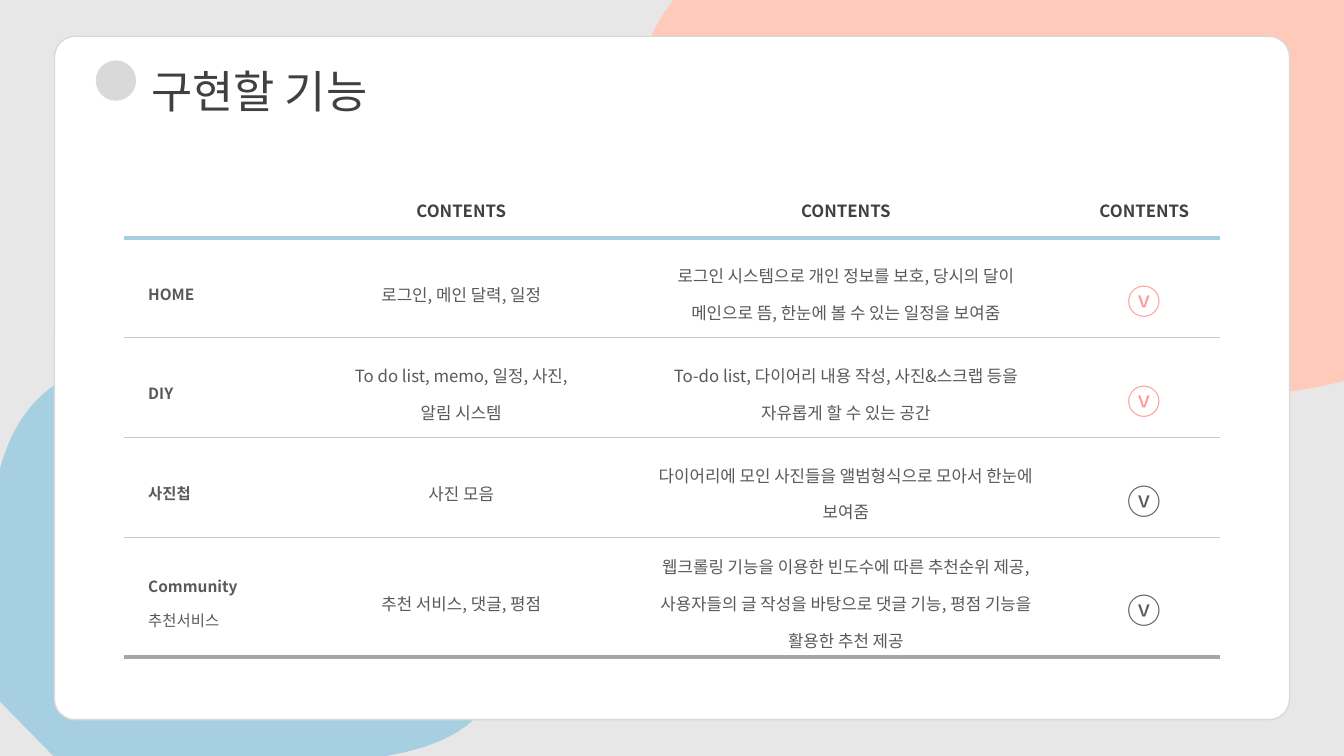
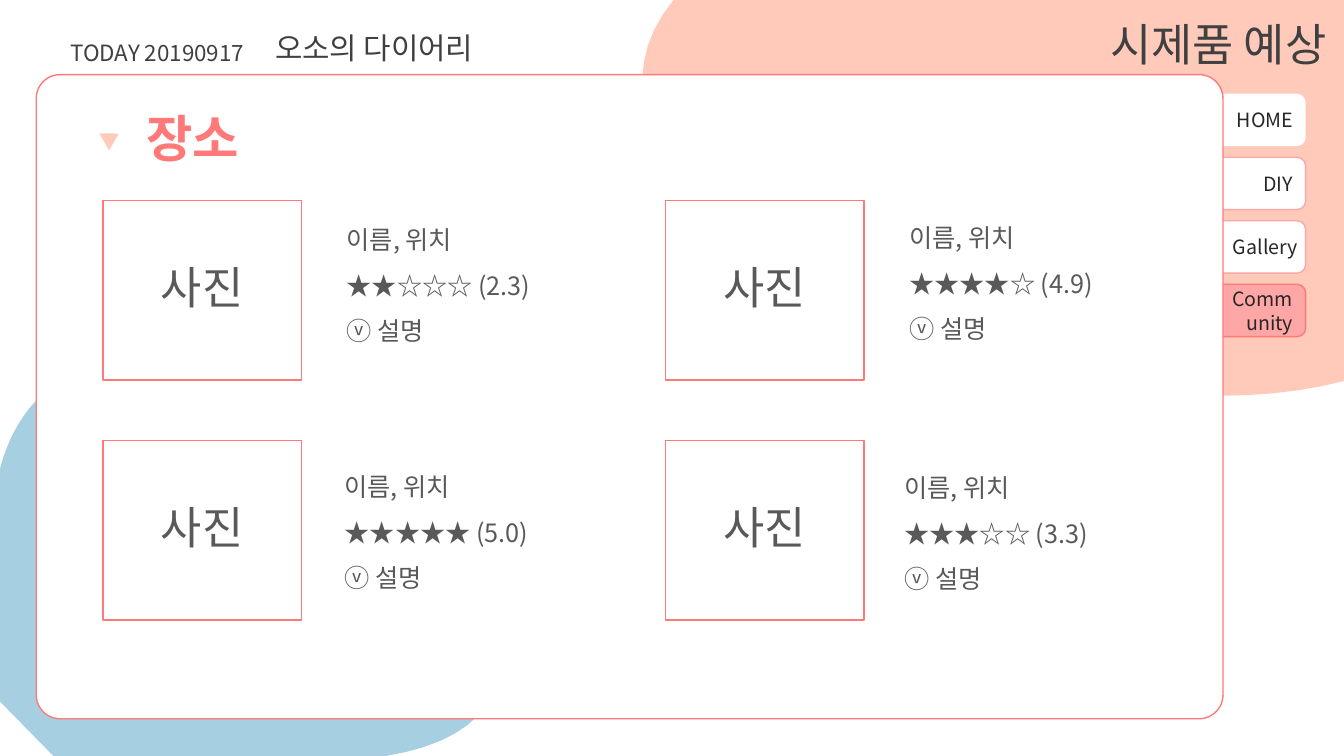
from collections import namedtuple
from dataclasses import dataclass

from lxml.etree import SubElement
from pptx import Presentation
from pptx.dml.color import RGBColor
from pptx.enum.shapes import MSO_SHAPE
from pptx.enum.text import MSO_ANCHOR, MSO_AUTO_SIZE, PP_ALIGN
from pptx.oxml import parse_xml
from pptx.oxml.ns import nsdecls, qn
from pptx.util import Inches, Pt


@dataclass(frozen=True)
class Theme:
    font: str = "Noto Sans CJK KR"
    white: str = "FFFFFF"
    page: str = "E7E7E7"
    edge: str = "D9D9D9"
    blue: str = "A6CFE1"
    peach: str = "FFCABA"
    coral: str = "FF7979"
    pink: str = "FFA7A7"
    check: str = "FF9999"
    rule: str = "CACACA"
    end_rule: str = "A6A6A6"
    dark: str = "404040"
    body: str = "595959"
    tab: str = "262626"
    title_size: float = 32
    heading_size: float = 36
    name_size: float = 21.3
    caption_size: float = 18
    date_size: float = 16
    tab_size: float = 14
    cell_size: float = 12
    label_size: float = 11
    check_size: float = 24


T = Theme()
Box = namedtuple("Box", "x y w h")
LEFT, CENTER, RIGHT = PP_ALIGN.LEFT, PP_ALIGN.CENTER, PP_ALIGN.RIGHT
TOP, MIDDLE = MSO_ANCHOR.TOP, MSO_ANCHOR.MIDDLE
SLIDE = Box(0, 0, 13.33, 7.5)


def rgb(color):
    return RGBColor.from_string(color)


def emu(box):
    return [Inches(v) for v in box]


def write(tf, text, size=T.cell_size, color=T.body, bold=False, align=LEFT,
          spacing=1.0, before=0, new=False):
    p = tf.add_paragraph() if new else tf.paragraphs[0]
    p.alignment, p.line_spacing, p.space_before = align, spacing, Pt(before)
    r = p.add_run()
    r.text = text
    r.font.name, r.font.size, r.font.bold = T.font, Pt(size), bold
    r.font.color.rgb = rgb(color)
    SubElement(r.font._element, qn("a:ea")).set("typeface", T.font)


def write_lines(tf, lines, **fmt):
    for i, line in enumerate(lines):
        write(tf, line, new=i > 0, **fmt)


def paint(sp, fill=None, line=None):
    sp.shadow.inherit = False
    if fill:
        sp.fill.solid()
        sp.fill.fore_color.rgb = rgb(fill)
    else:
        sp.fill.background()
    if line:
        sp.line.color.rgb, sp.line.width = rgb(line), Pt(1)
    else:
        sp.line.fill.background()


def add_shape(s, kind, box, fill=None, line=None, adj=None):
    sp = s.shapes.add_shape(kind, *emu(box))
    paint(sp, fill, line)
    if adj is not None:
        sp.adjustments[0] = adj
    sp.text_frame.word_wrap = True
    sp.text_frame.vertical_anchor = MIDDLE
    return sp


def add_text(s, box, *lines, **fmt):
    tf = s.shapes.add_textbox(*emu(box)).text_frame
    tf.word_wrap = True
    write_lines(tf, lines, **fmt)


def add_title(s, box, text):
    sp = s.shapes.title
    sp.left, sp.top, sp.width, sp.height = emu(box)
    tf = sp.text_frame
    tf.auto_size, tf.word_wrap, tf.vertical_anchor = MSO_AUTO_SIZE.NONE, True, TOP
    write(tf, text, size=T.title_size, color=T.dark, spacing=1.5)
    sp.element.getparent().append(sp.element)


def bezier(p0, p1, p2, p3, steps=40):
    for i in range(1, steps + 1):
        t = i / steps
        u = 1 - t
        yield tuple(u**3 * a + 3 * u * u * t * b + 3 * u * t * t * c + t**3 * d
                    for a, b, c, d in zip(p0, p1, p2, p3))


def add_blob(s, box, start, segments, fill):
    points = [start]
    for seg in segments:
        points += bezier(points[-1], *seg) if len(seg) == 3 else seg
    outline = [(Inches(box.x + x), Inches(box.y + y)) for x, y in points]
    fb = s.shapes.build_freeform(*outline[0], scale=1.0)
    fb.add_line_segments(outline[1:], close=True)
    paint(fb.convert_to_shape(), fill)


def new_slide(prs, page):
    s = prs.slides.add_slide(prs.slide_layouts[5])
    s.background.fill.solid()
    s.background.fill.fore_color.rgb = rgb(page)
    add_blob(s, Box(0, 3.61, 4.95, 3.89), (1.37, 0),
             [[(3.44, 0.06), (6.68, 3.42), (3.83, 3.89)],
              [(0.53, 3.89)], [(0, 3.35)], [(0, 1.04)],
              [(0.21, 0.27), (0.73, -0.02), (1.37, 0)]], T.blue)
    add_blob(s, Box(6.37, 0, 6.96, 3.93), (6.96, 0),
             [[(6.96, 3.78)], [(3.95, 4.57), (-1.33, 2), (0.31, 0)]], T.peach)
    return s


def set_borders(cell, top, bottom):
    tc_pr = cell._tc.get_or_add_tcPr()
    sides = [("L", None), ("R", None), ("T", top), ("B", bottom)]
    for i, (side, style) in enumerate(sides):
        color, width = style or (None, 0)
        fill = (f'<a:solidFill><a:srgbClr val="{color}"/></a:solidFill>'
                if color else "<a:noFill/>")
        tc_pr.insert(i, parse_xml(
            f'<a:ln{side} {nsdecls("a")} w="{Pt(width)}">{fill}</a:ln{side}>'))


def format_cell(cell, top, bottom):
    cell.fill.background()
    cell.vertical_anchor = MIDDLE
    cell.margin_left, cell.margin_right = Inches(0.24), Inches(0.1)
    cell.margin_top = cell.margin_bottom = Inches(0.05)
    set_borders(cell, top, bottom)


def feature_table(s, box, features):
    widths, heights = [1.6, 3.35, 4.28, 1.64], [0.55] + [0.99] * len(features)
    table = s.shapes.add_table(len(heights), len(widths), *emu(box)).table
    table.first_row = table.horz_banding = False
    for col, w in zip(table.columns, widths):
        col.width = Inches(w)
    for row, h in zip(table.rows, heights):
        row.height = Inches(h)
    rules = ([None, (T.blue, 3)] + [(T.rule, 1)] * (len(features) - 1)
             + [(T.end_rule, 3)])
    for r, row in enumerate(table.rows):
        for cell in row.cells:
            format_cell(cell, rules[r], rules[r + 1])
    for c in range(1, len(widths)):
        write(table.cell(0, c).text_frame, "CONTENTS", color=T.dark,
              bold=True, align=CENTER)
    for r, (labels, contents, detail, color) in enumerate(features, 1):
        label, content, about, mark = (c.text_frame for c in table.rows[r].cells)
        for i, text in enumerate(labels):
            write(label, text, size=T.label_size, bold=i == 0, spacing=1.5, new=i > 0)
        write_lines(content, contents, align=CENTER, spacing=1.5)
        write(about, detail, align=CENTER, spacing=1.5)
        write(mark, "ⓥ", size=T.check_size, color=color, align=CENTER, spacing=1.5)


def features_slide(prs):
    s = new_slide(prs, T.page)
    add_shape(s, MSO_SHAPE.ROUNDED_RECTANGLE, Box(0.54, 0.36, 12.25, 6.78),
              T.white, T.edge, 0.03)
    add_shape(s, MSO_SHAPE.OVAL, Box(0.95, 0.6, 0.4, 0.4), T.edge)
    feature_table(s, Box(1.23, 1.81, 10.87, 4.51), [
        (["HOME"], ["로그인, 메인 달력, 일정"],
         "로그인 시스템으로 개인 정보를 보호, 당시의 달이 메인으로 뜸, "
         "한눈에 볼 수 있는 일정을 보여줌", T.check),
        (["DIY"], ["To do list, memo, 일정, 사진,", "알림 시스템"],
         "To-do list, 다이어리 내용 작성, 사진&스크랩 등을 "
         "자유롭게 할 수 있는 공간", T.check),
        (["사진첩"], ["사진 모음"],
         "다이어리에 모인 사진들을 앨범형식으로 모아서 한눈에 보여줌", T.body),
        (["Community", "추천서비스"], ["추천 서비스, 댓글, 평점"],
         "웹크롤링 기능을 이용한 빈도수에 따른 추천순위 제공, 사용자들의 글 "
         "작성을 바탕으로 댓글 기능, 평점 기능을 활용한 추천 제공", T.body),
    ])
    add_title(s, Box(1.4, 0.32, 6.03, 0.8), "구현할 기능")


def side_tabs(s, box):
    tabs = [("HOME", T.white, None, 0.1), ("DIY", T.white, T.pink, 0.1),
            ("Gallery", T.white, T.pink, 0.05), ("Community", T.pink, T.coral, 0.1)]
    height = 0.52
    step = (box.h - height) / (len(tabs) - 1)
    for i, (text, fill, line, inset) in enumerate(tabs):
        sp = add_shape(s, MSO_SHAPE.ROUNDED_RECTANGLE,
                       Box(box.x, box.y + i * step, box.w, height), fill, line)
        sp.text_frame.margin_right = Inches(inset)
        write(sp.text_frame, text, size=T.tab_size, color=T.tab, align=RIGHT)


def place_entry(s, box, rating, dx, dy):
    sp = add_shape(s, MSO_SHAPE.RECTANGLE, box, line=T.coral)
    write(sp.text_frame, "사진", size=T.title_size, align=CENTER, spacing=0.9, before=10)
    add_text(s, Box(box.x + dx, box.y + dy, 2.3, 1.41),
             "이름, 위치", rating, "ⓥ 설명", size=T.caption_size, spacing=1.5)


def place_grid(s, box):
    w, h = 1.97, 1.78
    entries = [("★★☆☆☆ (2.3)", 2.32, 0.04), ("★★★★☆ (4.9)", 2.32, 0.02),
               ("★★★★★ (5.0)", 2.3, 0.11), ("★★★☆☆ (3.3)", 2.27, 0.12)]
    for i, entry in enumerate(entries):
        row, col = divmod(i, 2)
        place_entry(s, Box(box.x + col * (box.w - w), box.y + row * (box.h - h), w, h),
                    *entry)


def prototype_slide(prs):
    s = new_slide(prs, T.white)
    side_tabs(s, Box(12, 0.93, 0.95, 2.41))
    add_shape(s, MSO_SHAPE.ROUNDED_RECTANGLE, Box(0.36, 0.74, 11.77, 6.39),
              T.white, T.coral, 0.037)
    add_text(s, Box(0.6, 0.34, 2.34, 0.37), "TODAY 20190917",
             size=T.date_size, color=T.dark)
    add_text(s, Box(2.63, 0.25, 2.41, 0.46), "오소의 다이어리",
             size=T.name_size, color=T.dark)
    add_text(s, Box(1.35, 1.01, 1.72, 0.71), "장소",
             size=T.heading_size, color=T.coral, bold=True)
    marker = add_shape(s, MSO_SHAPE.ISOSCELES_TRIANGLE, Box(1, 1.27, 0.22, 0.19),
                       T.peach, T.white)
    marker.rotation = 60.2
    place_grid(s, Box(1.02, 1.99, 7.55, 4.16))
    add_title(s, Box(10.91, -0.15, 2.42, 0.8), "시제품 예상")


def main():
    prs = Presentation()
    prs.slide_width, prs.slide_height = Inches(SLIDE.w), Inches(SLIDE.h)
    features_slide(prs)
    prototype_slide(prs)
    prs.save("out.pptx")


if __name__ == "__main__":
    main()
